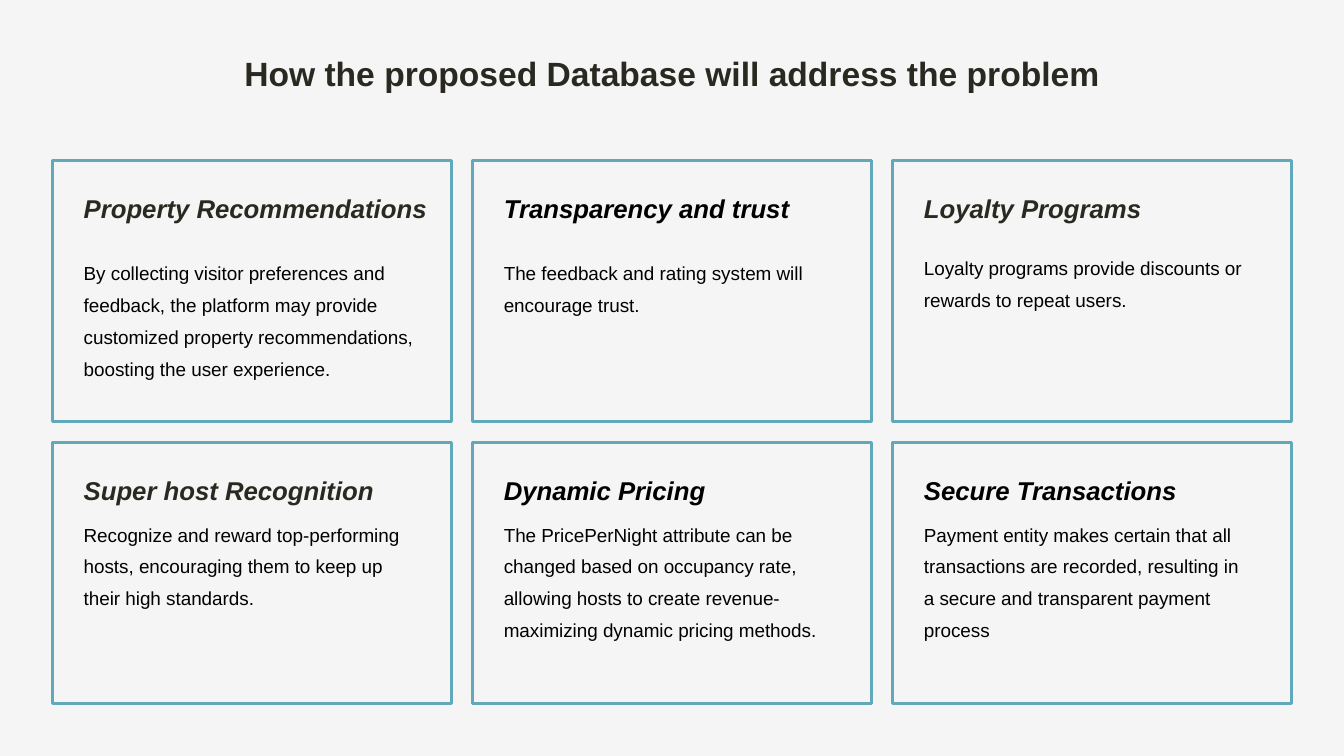
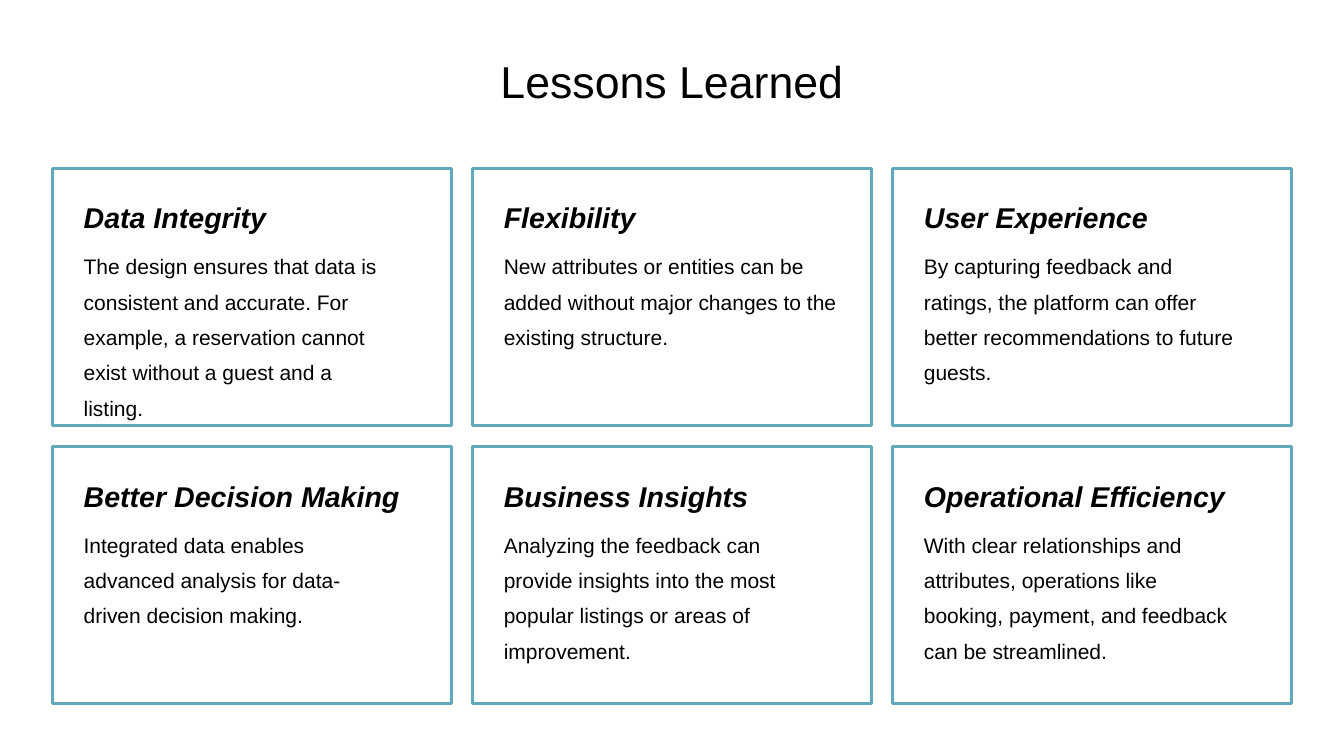
from dataclasses import dataclass
from typing import NamedTuple

from pptx import Presentation
from pptx.dml.color import RGBColor
from pptx.enum.shapes import MSO_SHAPE
from pptx.enum.text import MSO_ANCHOR, PP_ALIGN
from pptx.util import Inches, Pt

RECTANGLE = MSO_SHAPE.RECTANGLE
TOP = MSO_ANCHOR.TOP
LEFT, CENTER = PP_ALIGN.LEFT, PP_ALIGN.CENTER


@dataclass(frozen=True)
class Theme:
    font: str = "Arial"
    ink: str = "2A2921"
    black: str = "000000"
    border: str = "62A8BB"
    border_width: float = 2
    heading_spacing: float = 1.26
    body_spacing: float = 1.4


class Card(NamedTuple):
    heading: str
    body: str
    body_width: float
    body_height: float
    body_offset: float
    color: str


THEME = Theme()
SLIDE_WIDTH, SLIDE_HEIGHT = 13.33, 7.5
COLUMNS, ROWS = 3, 2
MARGIN, GAP, GRID_BOTTOM = 0.52, 0.21, 6.98
PADDING_X = 0.31
HEADING_WIDTH = 3.78

SLIDES = [
    {
        "background": "F5F5F5",
        "title": "How the proposed Database will address the problem",
        "title_box": (0, 0.43, SLIDE_WIDTH, 0.41),
        "title_format": {"size": 24, "color": THEME.ink, "bold": True, "spacing": 1.23},
        "grid_top": 1.59,
        "padding_top": 0.24,
        "heading_size": 18.4,
        "heading_height": 0.32,
        "body_size": 13.5,
        "cards": [
            Card("Property Recommendations",
                 "By collecting visitor preferences and feedback, the platform may provide "
                 "customized property recommendations, boosting the user experience.",
                 3.41, 1.43, 0.92, THEME.ink),
            Card("Transparency and trust",
                 "The feedback and rating system will encourage trust.",
                 3.12, 0.52, 0.92, THEME.black),
            Card("Loyalty Programs",
                 "Loyalty programs provide discounts or rewards to repeat users.",
                 3.17, 0.61, 0.87, THEME.ink),
            Card("Super host Recognition",
                 "Recognize and reward top-performing hosts, encouraging them to keep up "
                 "their high standards.",
                 3.33, 1.05, 0.71, THEME.ink),
            Card("Dynamic Pricing",
                 "The PricePerNight attribute can be changed based on occupancy rate, "
                 "allowing hosts to create revenue-maximizing dynamic pricing methods.",
                 3.32, 1.31, 0.71, THEME.black),
            Card("Secure Transactions",
                 "Payment entity makes certain that all transactions are recorded, "
                 "resulting in a secure and transparent payment process",
                 3.24, 1.05, 0.71, THEME.black),
        ],
    },
    {
        "background": "FFFFFF",
        "title": "Lessons Learned",
        "title_box": (0, 0.4, SLIDE_WIDTH, 0.56),
        "title_format": {"size": 31.9},
        "grid_top": 1.67,
        "padding_top": 0.23,
        "heading_size": 20.4,
        "heading_height": 0.36,
        "body_size": 15,
        "cards": [
            Card("Data Integrity",
                 "The design ensures that data is consistent and accurate. For example, "
                 "a reservation cannot exist without a guest and a listing.",
                 2.98, 1.46, 0.75, THEME.black),
            Card("Flexibility",
                 "New attributes or entities can be added without major changes to the "
                 "existing structure.",
                 3.33, 0.87, 0.75, THEME.black),
            Card("User Experience",
                 "By capturing feedback and ratings, the platform can offer better "
                 "recommendations to future guests.",
                 3.16, 1.17, 0.75, THEME.black),
            Card("Better Decision Making",
                 "Integrated data enables advanced analysis for data-driven decision making.",
                 2.98, 0.87, 0.75, THEME.black),
            Card("Business Insights",
                 "Analyzing the feedback can provide insights into the most popular "
                 "listings or areas of improvement.",
                 3.08, 1.17, 0.75, THEME.black),
            Card("Operational Efficiency",
                 "With clear relationships and attributes, operations like booking, "
                 "payment, and feedback can be streamlined.",
                 3.16, 1.17, 0.75, THEME.black),
        ],
    },
]


def to_inches(box):
    return [Inches(length) for length in box]


def add_text(slide, text, box, *, size, color=THEME.black, bold=False, italic=False,
             align=LEFT, spacing=THEME.heading_spacing):
    frame = slide.shapes.add_textbox(*to_inches(box)).text_frame
    frame.word_wrap = True
    frame.vertical_anchor = TOP
    frame.margin_left = frame.margin_right = frame.margin_top = frame.margin_bottom = 0
    paragraph = frame.paragraphs[0]
    paragraph.alignment = align
    paragraph.line_spacing = spacing
    run = paragraph.add_run()
    run.text = text
    run.font.name = THEME.font
    run.font.size = Pt(size)
    run.font.bold = bold
    run.font.italic = italic
    run.font.color.rgb = RGBColor.from_string(color)


def add_frame(slide, box):
    shape = slide.shapes.add_shape(RECTANGLE, *to_inches(box))
    shape.shadow.inherit = False
    shape.fill.background()
    shape.line.color.rgb = RGBColor.from_string(THEME.border)
    shape.line.width = Pt(THEME.border_width)


def add_card(slide, card, box, content):
    add_frame(slide, box)
    left = box[0] + PADDING_X
    top = box[1] + content["padding_top"]
    add_text(slide, card.heading, (left, top, HEADING_WIDTH, content["heading_height"]),
             size=content["heading_size"], color=card.color, bold=True, italic=True)
    add_text(slide, card.body,
             (left, box[1] + card.body_offset, card.body_width, card.body_height),
             size=content["body_size"], spacing=THEME.body_spacing)


def build_slide(presentation, content):
    slide = presentation.slides.add_slide(presentation.slide_layouts[6])
    fill = slide.background.fill
    fill.solid()
    fill.fore_color.rgb = RGBColor.from_string(content["background"])
    add_text(slide, content["title"], content["title_box"], align=CENTER,
             **content["title_format"])
    grid_top = content["grid_top"]
    width = (SLIDE_WIDTH - 2 * MARGIN - (COLUMNS - 1) * GAP) / COLUMNS
    height = (GRID_BOTTOM - grid_top - (ROWS - 1) * GAP) / ROWS
    for index, card in enumerate(content["cards"]):
        row, column = divmod(index, COLUMNS)
        box = (MARGIN + column * (width + GAP), grid_top + row * (height + GAP), width, height)
        add_card(slide, card, box, content)


def main():
    presentation = Presentation()
    presentation.slide_width = Inches(SLIDE_WIDTH)
    presentation.slide_height = Inches(SLIDE_HEIGHT)
    for content in SLIDES:
        build_slide(presentation, content)
    presentation.save("out.pptx")


if __name__ == "__main__":
    main()
